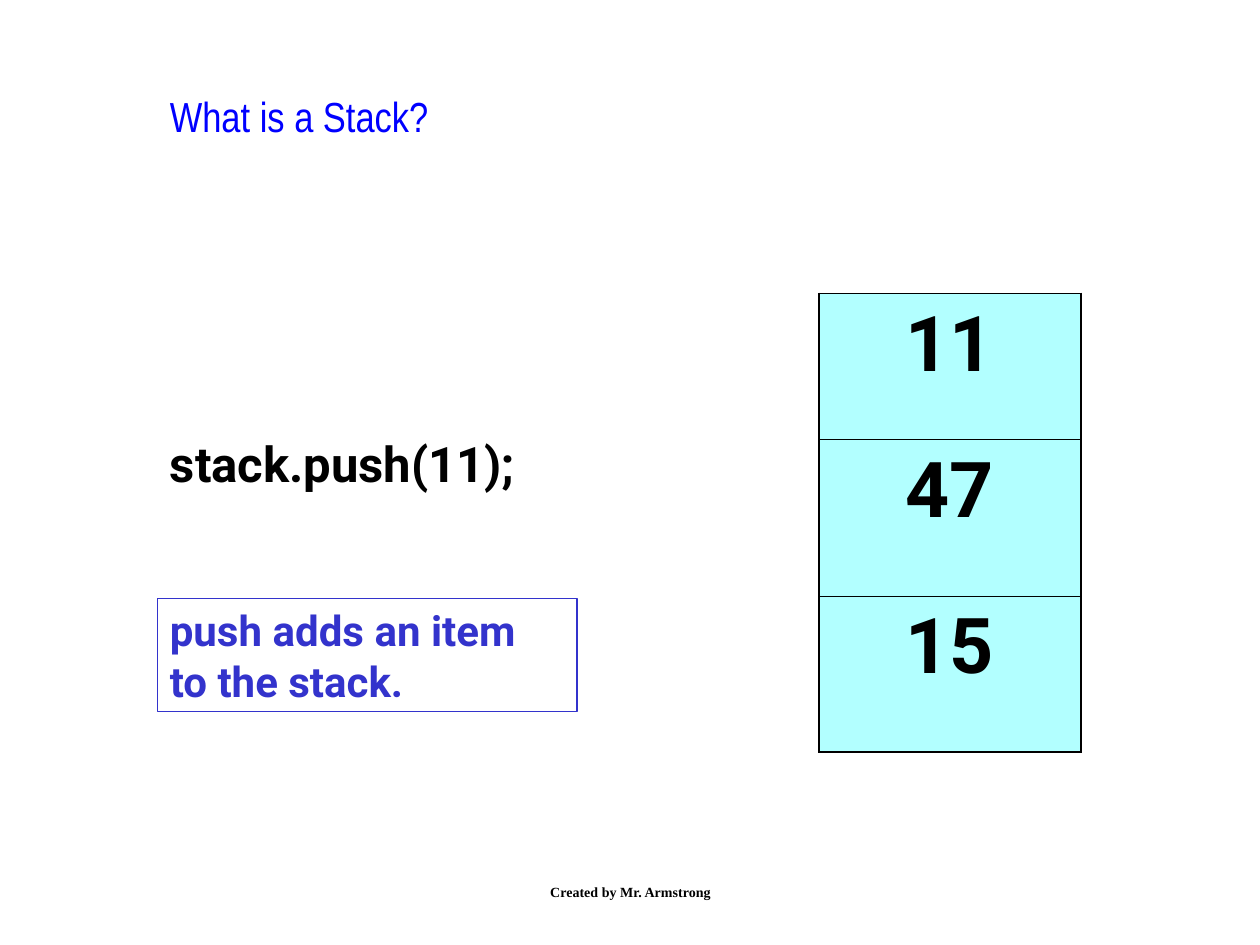
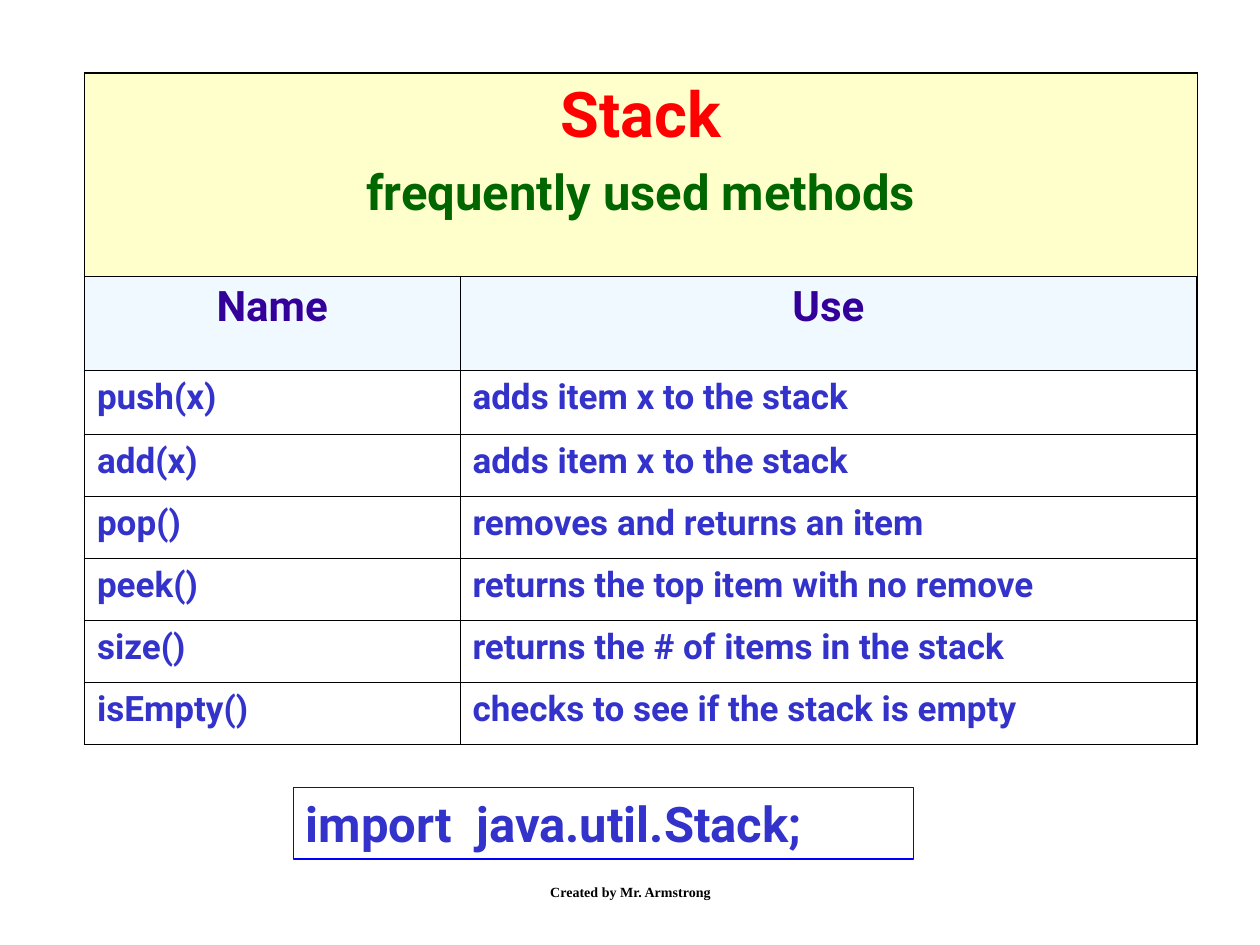
from lxml import etree
from pptx import Presentation
from pptx.dml import color
from pptx.enum import shapes, text
from pptx.oxml import ns
from pptx.util import Inches, Pt

BODY_FONT, TITLE_FONT, FOOTER_FONT = "Roboto", "Arial Narrow", "Times New Roman"
BLACK, BLUE, INDIGO = "000000", "0000FF", "3333CC"
CYAN, CREAM, ICE = "66FFFF", "FFFFCC", "E1F4FF"
RED, GREEN, PURPLE = "FF0000", "006600", "330099"
OUTER, INNER = 1.08, 0.45
CENTER = text.PP_ALIGN.CENTER

METHODS = [
    ("push(x)", "adds item x to the stack"),
    ("add(x)", "adds item x to the stack"),
    ("pop()", "removes and returns an item"),
    ("peek()", "returns the top item with no remove"),
    ("size()", "returns the # of items in the stack"),
    ("isEmpty()", "checks to see if the stack is empty"),
]


def rgb(code):
    return color.RGBColor.from_string(code)


def inches(box):
    return [Inches(length) for length in box]


def style(paragraph, size, ink, font=BODY_FONT, bold=True, align=None):
    paragraph.alignment = align
    for run in paragraph.runs:
        run.font.name, run.font.size, run.font.bold = font, Pt(size), bold
        run.font.color.rgb = rgb(ink)


def add_label(slide, box, wording, size, ink, wrap=True,
              anchor=text.MSO_ANCHOR.TOP, **look):
    label = slide.shapes.add_textbox(*inches(box))
    frame = label.text_frame
    frame.text = wording
    frame.word_wrap, frame.vertical_anchor = wrap, anchor
    style(frame.paragraphs[0], size, ink, **look)


def add_framed_note(slide, box, wording, size, line, weight):
    note = slide.shapes.add_shape(shapes.MSO_SHAPE.RECTANGLE, *inches(box))
    note.shadow.inherit = False
    note.fill.background()
    note.line.color.rgb = rgb(line)
    note.line.width = Pt(weight)
    frame = note.text_frame
    frame.text = ""
    frame.paragraphs[0].text = wording
    frame.word_wrap, frame.vertical_anchor = True, text.MSO_ANCHOR.TOP
    frame.auto_size = text.MSO_AUTO_SIZE.SHAPE_TO_FIT_TEXT
    style(frame.paragraphs[0], size, INDIGO, align=text.PP_ALIGN.LEFT)


def add_footer(slide):
    add_label(slide, (3.42, 6.83, 3.17, 0.5), "Created by Mr. Armstrong", 8, BLACK,
              anchor=text.MSO_ANCHOR.MIDDLE, font=FOOTER_FONT, align=CENTER)


def add_grid(slide, box, widths, heights):
    """Add an unfilled table with a heavy outer frame and thin inner rules."""
    grid = slide.shapes.add_table(len(heights), len(widths), *inches(box)).table
    grid.first_row = grid.horz_banding = False
    for column, width in zip(grid.columns, widths):
        column.width = Inches(width)
    for row, height in zip(grid.rows, heights):
        row.height = Inches(height)
    last_row, last_column = len(heights) - 1, len(widths) - 1
    for r in range(len(heights)):
        for c in range(len(widths)):
            cell = grid.cell(r, c)
            on_frame = {"L": c == 0, "R": c == last_column,
                        "T": r == 0, "B": r == last_row}
            for side, outer in on_frame.items():
                add_border(cell, side, OUTER if outer else INNER)
            cell.fill.background()
    return grid


def add_border(cell, side, weight):
    properties = cell._tc.get_or_add_tcPr()
    line = etree.SubElement(properties, ns.qn(f"a:ln{side}"), w=str(Pt(weight)))
    fill = etree.SubElement(line, ns.qn("a:solidFill"))
    etree.SubElement(fill, ns.qn("a:srgbClr"), val=BLACK)


def fill_cell(cell, code, half_clear=False):
    cell.fill.solid()
    cell.fill.fore_color.rgb = rgb(code)
    if half_clear:
        tint = cell._tc.tcPr.find(".//" + ns.qn("a:solidFill") + "[last()]")
        tint = cell._tc.tcPr.find(ns.qn("a:solidFill")).find(ns.qn("a:srgbClr"))
        etree.SubElement(tint, ns.qn("a:alpha"), val="50000")


def write_cell(cell, wording, size, ink, align=None):
    cell.text_frame.text = wording
    style(cell.text_frame.paragraphs[0], size, ink, align=align)


def add_stack(slide, box, items):
    top_height = 1.16
    rest = (box[3] - top_height) / (len(items) - 1)
    heights = [top_height] + [rest] * (len(items) - 1)
    stack = add_grid(slide, box, [box[2]], heights)
    for row, item in enumerate(items):
        cell = stack.cell(row, 0)
        write_cell(cell, item, 44, BLACK, CENTER)
        fill_cell(cell, CYAN, half_clear=True)


def add_methods_table(slide, box):
    name_width = 2.98
    top_heights = [1.61, 0.75, 0.51]
    rest = len(METHODS) - 1
    heights = top_heights + [(box[3] - sum(top_heights)) / rest] * rest
    grid = add_grid(slide, box, [name_width, box[2] - name_width], heights)

    heading = grid.cell(0, 0)
    heading.merge(grid.cell(0, 1))
    write_cell(heading, "Stack", 36, RED, CENTER)
    subtitle = heading.text_frame.add_paragraph()
    subtitle.text = "frequently used methods"
    subtitle.space_before = Pt(7)
    style(subtitle, 28, GREEN, align=CENTER)
    fill_cell(heading, CREAM)

    for column, caption in enumerate(("Name", "Use")):
        cell = grid.cell(1, column)
        write_cell(cell, caption, 24, PURPLE, CENTER)
        fill_cell(cell, ICE, half_clear=True)
    for row, method in enumerate(METHODS, start=2):
        for column, wording in enumerate(method):
            write_cell(grid.cell(row, column), wording, 20, INDIGO)


def build_push_slide(slide):
    add_label(slide, (1.25, 2.92, 3.11, 1.04), "stack.push(11);", 28, BLACK,
              wrap=False, anchor=text.MSO_ANCHOR.BOTTOM)
    add_framed_note(slide, (1.25, 4.75, 3.33, 0.9),
                    "push adds an item\vto the stack.", 24, INDIGO, 0.75)
    add_stack(slide, (6.5, 2.33, 2.08, 3.64), ["11", "47", "15"])
    add_label(slide, (1.25, 0.67, 7.17, 1.08), "What is a Stack?", 24, BLUE,
              wrap=False, font=TITLE_FONT, bold=False)
    add_footer(slide)


def build_methods_slide(slide):
    add_methods_table(slide, (0.67, 0.58, 8.83, 5.33))
    add_framed_note(slide, (2.33, 6.25, 4.92, 0.57),
                    "import  java.util.Stack;", 28, BLUE, 1)
    add_footer(slide)


def main():
    deck = Presentation()
    deck.slide_width, deck.slide_height = Inches(10), Inches(7.5)
    for build in (build_push_slide, build_methods_slide):
        build(deck.slides.add_slide(deck.slide_layouts[6]))
    deck.save("out.pptx")


if __name__ == "__main__":
    main()
